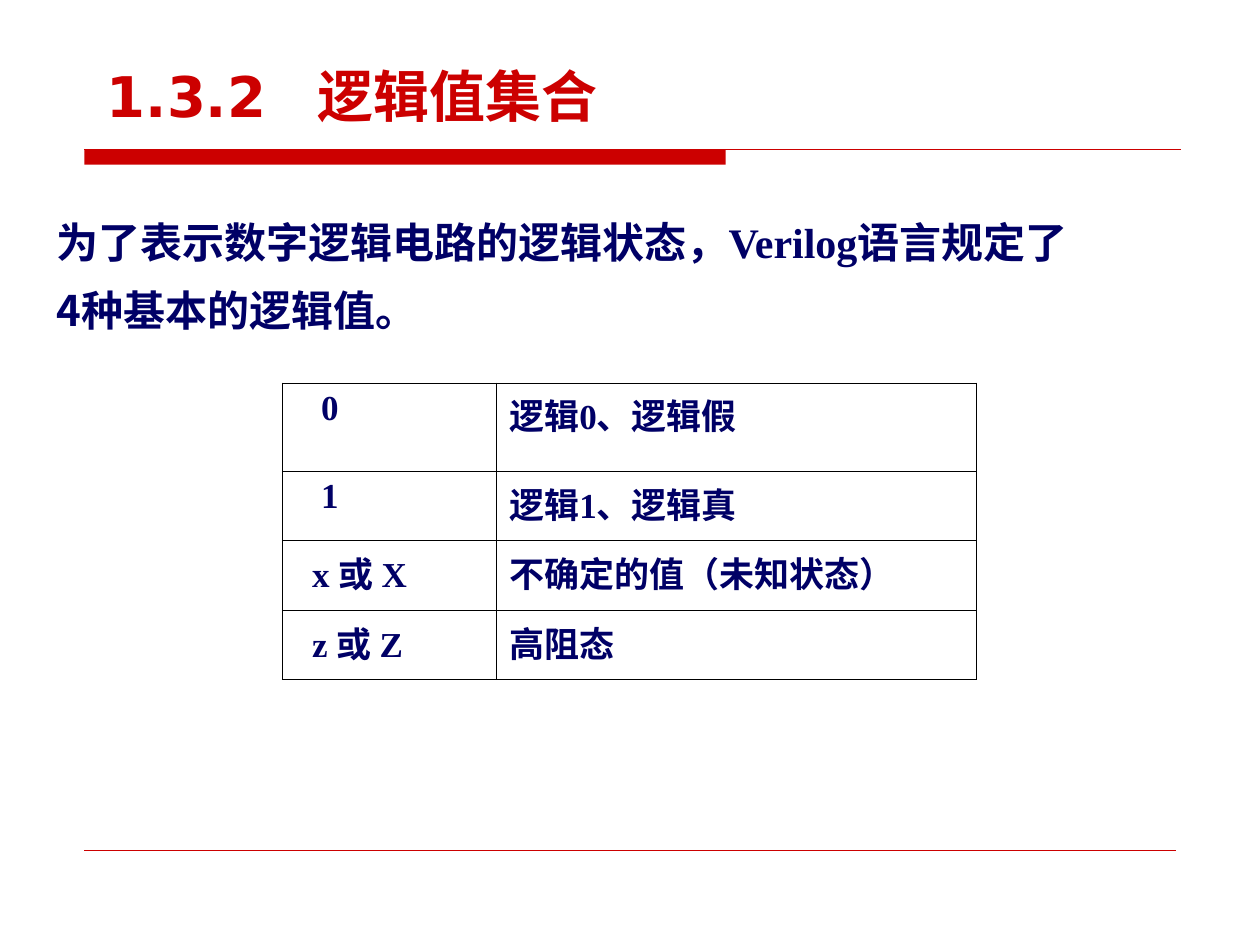
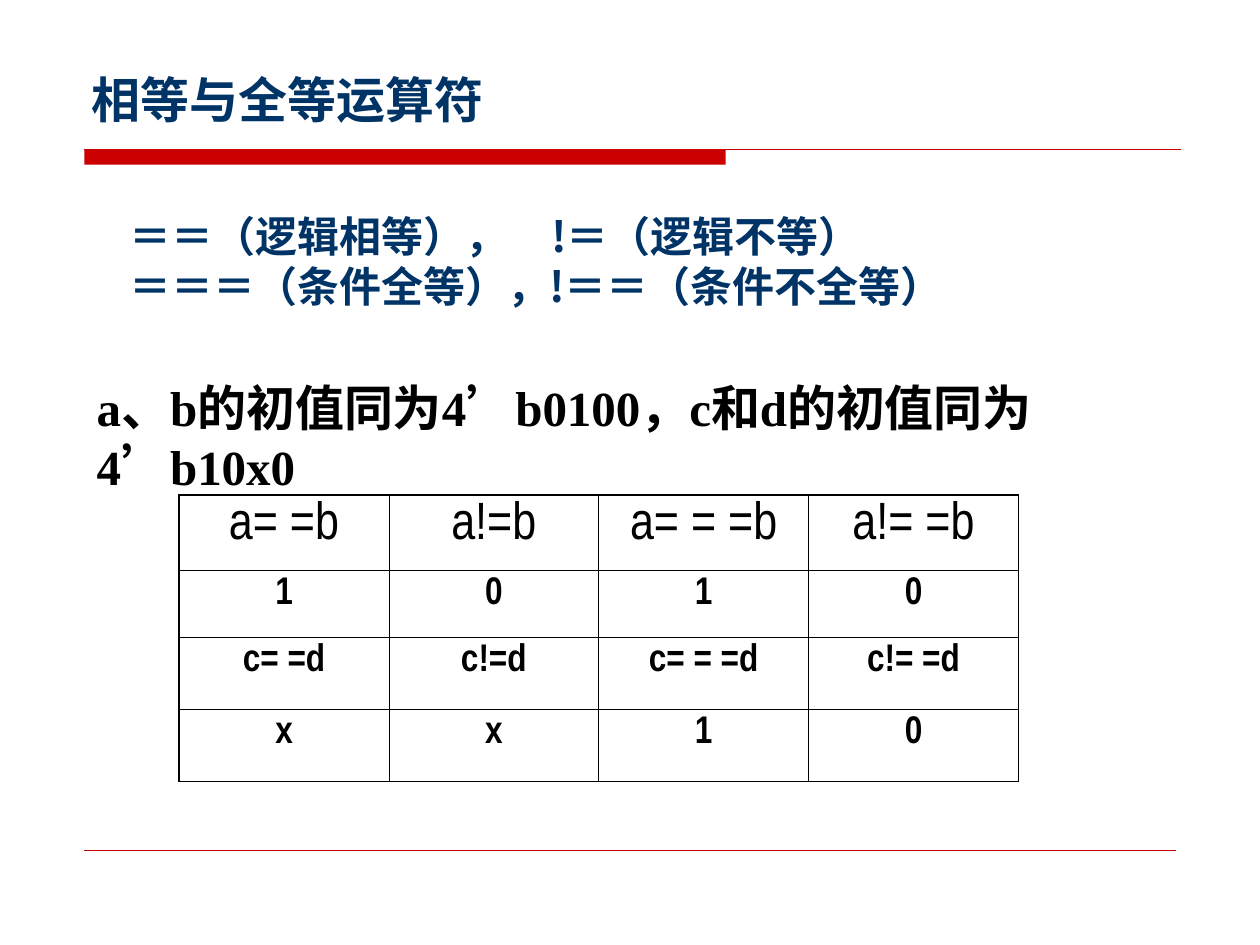
from pptx import Presentation
from pptx.dml.color import RGBColor
from pptx.enum.shapes import MSO_CONNECTOR as Connector, MSO_SHAPE as Shape
from pptx.enum.text import MSO_ANCHOR as Anchor, MSO_AUTO_SIZE as AutoSize, PP_ALIGN as Align
from pptx.oxml.ns import qn
from pptx.util import Cm, Pt
from lxml.etree import SubElement

RED, NAVY, BLUE, BLACK = "CC0000", "000066", "003366", "000000"
HAN, SERIF, SANS, NARROW = "Noto Sans CJK SC", "Times New Roman", "DejaVu Sans", "Arial Narrow"
THIN, THICK = 0.45, 1.08


def color(value):
    return RGBColor.from_string(value)


class Deck:
    def __init__(self):
        self.prs = Presentation()
        self.prs.slide_width, self.prs.slide_height = Cm(25.4), Cm(19.05)
        self.slide = None

    def add_slide(self):
        self.slide = self.prs.slides.add_slide(self.prs.slide_layouts[5])
        self.rule(1.7, 23.8, 3.02, 0.75)
        band = self.slide.shapes.add_shape(Shape.RECTANGLE, Cm(1.7), Cm(3.02), Cm(12.93), Cm(0.3))
        band.shadow.inherit = False
        band.fill.solid()
        band.fill.fore_color.rgb = color(RED)
        band.line.fill.background()
        self.rule(1.7, 23.7, 17.15, 0.25)

    def rule(self, left, right, y, width):
        line = self.slide.shapes.add_connector(Connector.STRAIGHT, Cm(left), Cm(y), Cm(right), Cm(y))
        line.line.color.rgb = color(RED)
        line.line.width = Pt(width)
        SubElement(line._element.spPr, qn("a:effectLst"))

    def style(self, paragraph, size, face, hue, bold=True, align=Align.LEFT, tab=None, indent=0):
        paragraph.alignment = align
        props = paragraph._p.get_or_add_pPr()
        if indent:
            props.set("marL", str(Cm(indent)))
        if tab:
            stops = SubElement(props, qn("a:tabLst"))
            SubElement(stops, qn("a:tab"), pos=str(Cm(tab)), algn="l")
        font = paragraph.font
        font.size, font.name, font.bold = Pt(size), face, bold
        font.color.rgb = color(hue)
        SubElement(props.find(qn("a:defRPr")), qn("a:ea"), typeface=HAN)

    def title(self, text, box, size, hue, anchor, tab=None):
        heading = self.slide.shapes.title
        heading.left, heading.top, heading.width, heading.height = map(Cm, box)
        frame = heading.text_frame
        frame.text = text
        frame.auto_size = AutoSize.NONE
        frame.vertical_anchor = anchor
        self.style(frame.paragraphs[0], size, SANS, hue, tab=tab)

    def text(self, lines, box, size, faces, hue, anchor=Anchor.MIDDLE, tab=None):
        frame = self.slide.shapes.add_textbox(*map(Cm, box)).text_frame
        frame.word_wrap = True
        frame.vertical_anchor = anchor
        frame.text = "\n".join(lines)
        for paragraph, face in zip(frame.paragraphs, faces):
            self.style(paragraph, size, face, hue, tab=tab)
        return frame

    def border(self, cell, sides):
        props = cell._tc.get_or_add_tcPr()
        for side, width in sides.items():
            line = SubElement(props, qn(f"a:ln{side}"), w=str(Pt(width)))
            fill = SubElement(line, qn("a:solidFill"))
            SubElement(fill, qn("a:srgbClr"), val=BLACK)

    def table(self, rows, left, top, widths, heights, cell_style, outer=THIN):
        frame = self.slide.shapes.add_table(
            len(rows), len(widths), Cm(left), Cm(top), Cm(sum(widths)), Cm(sum(heights)))
        table = frame.table
        table.first_row = table.horz_banding = False
        for column, width in zip(table.columns, widths):
            column.width = Cm(width)
        for row, height in zip(table.rows, heights):
            row.height = Cm(height)
        last_row, last_column = len(rows) - 1, len(widths) - 1
        for r, row in enumerate(rows):
            for c, text in enumerate(row):
                cell = table.cell(r, c)
                cell.text = text
                self.border(cell, {
                    "L": outer if c == 0 else THIN,
                    "R": outer if c == last_column else THIN,
                    "T": outer if r == 0 else THIN,
                    "B": outer if r == last_row else THIN,
                })
                cell.fill.background()
                self.style(cell.text_frame.paragraphs[0], **cell_style(r, c))


def logic_value_style(row, column):
    indent = 0 if column else 0.53 if row < 2 else 0.35
    return dict(size=20, face=SERIF, hue=NAVY, indent=indent)


def comparison_style(row, column):
    return dict(size=22 if row else 30, face=NARROW, hue=BLACK, bold=row > 0, align=Align.CENTER)


def logic_values(deck):
    deck.add_slide()
    intro = deck.text(["为了表示数字逻辑电路的逻辑状态，Verilog语言规定了", "4种基本的逻辑值。"],
                      (0.89, 4.24, 23.01, 2.51), 24, [SERIF, HAN], NAVY)
    intro.margin_bottom = 0
    intro.paragraphs[1].line_spacing = 1.35
    meanings = [
        ("0", "逻辑0、逻辑假"),
        ("1", "逻辑1、逻辑真"),
        ("x 或 X", "不确定的值（未知状态）"),
        ("z 或 Z", "高阻态"),
    ]
    deck.table(meanings, 5.69, 7.72, [4.32, 9.68], [1.78, 1.4, 1.4, 1.4], logic_value_style)
    deck.title("1.3.2\t逻辑值集合", (1.9, 1.12, 12.4, 1.63), 32, RED, Anchor.TOP, tab=4.24)


def equality_operators(deck):
    deck.add_slide()
    deck.text(["a、b的初值同为4’b0100，c和d的初值同为4’b10x0"],
              (1.7, 7.49, 22.2, 2.64), 28, [SERIF], BLACK, Anchor.TOP)
    comparisons = [
        ("a= =b", "a!=b", "a= = =b", "a!= =b"),
        ("1", "0", "1", "0"),
        ("c= =d", "c!=d", "c= = =d", "c!= =d"),
        ("x", "x", "1", "0"),
    ]
    deck.table(comparisons, 3.61, 9.98, [4.23] * 4, [1.52, 1.35, 1.45, 1.45], comparison_style, THICK)
    deck.title("相等与全等运算符", (1.6, 0.84, 22.23, 1.88), 28, BLUE, Anchor.BOTTOM)
    deck.text(["＝＝（逻辑相等），\t!＝（逻辑不等）", "＝＝＝（条件全等），!＝＝（条件不全等）"],
              (2.36, 4.11, 17.42, 2.29), 24, [HAN, HAN], BLUE, tab=8.5)


def main():
    deck = Deck()
    logic_values(deck)
    equality_operators(deck)
    deck.prs.save("out.pptx")


if __name__ == "__main__":
    main()
